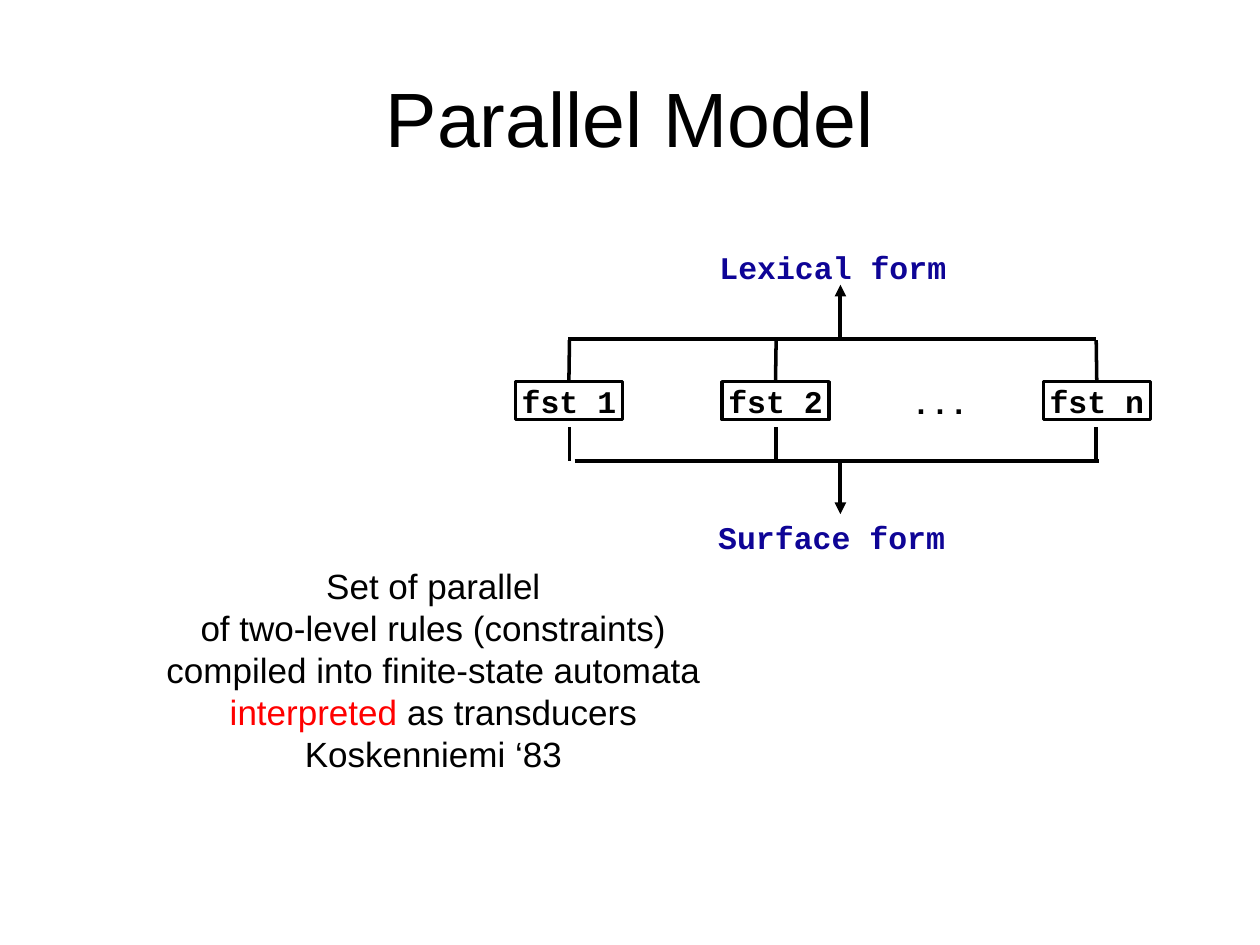
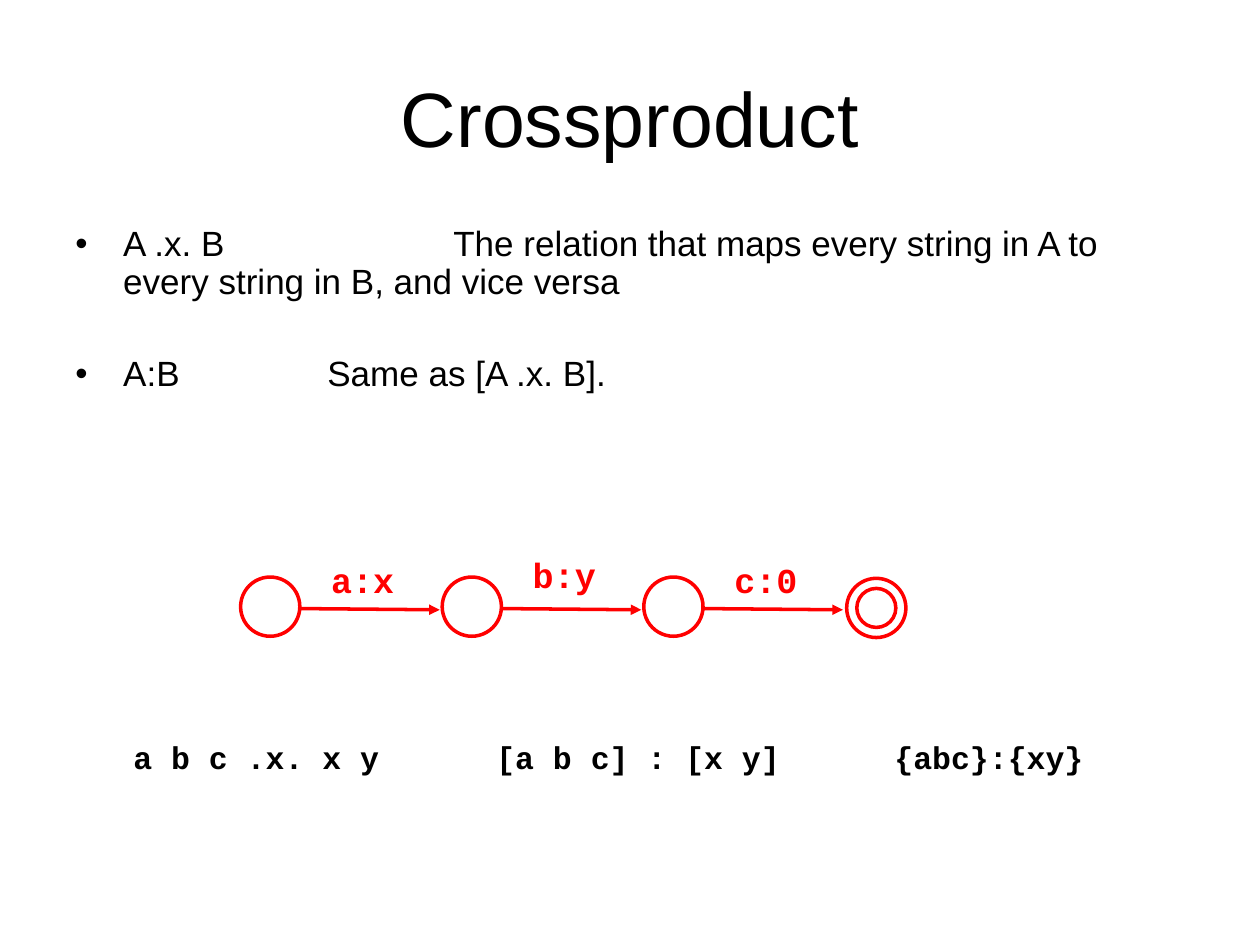
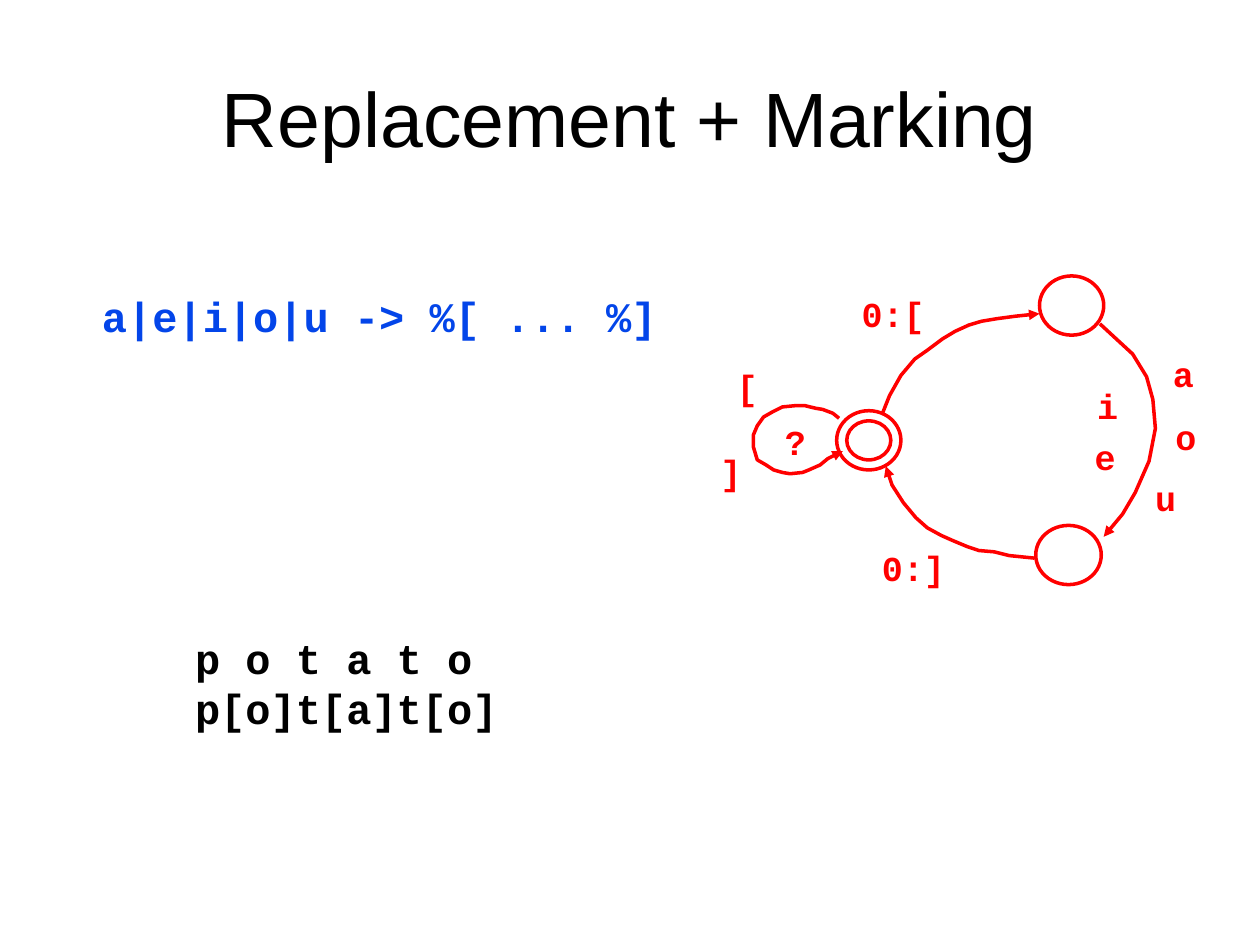
from dataclasses import dataclass

from lxml import etree
from pptx import Presentation
from pptx import util as u
from pptx.dml.color import RGBColor
from pptx.enum import shapes, text
from pptx.oxml.ns import qn

PX = 9144


@dataclass(frozen=True)
class Theme:
    ink: str = "000000"
    red: str = "FF0000"
    navy: str = "0E0496"
    blue: str = "0345E9"
    sans: str = "Arial"
    mono: str = "Courier New"
    title: int = 44
    formula: int = 24
    body: int = 20
    code: int = 18
    stroke: float = 2
    stem: float = 2.25


def apply(target, values):
    for name, value in values.items():
        setattr(target, name, value)


def px(*lengths):
    return [u.Emu(length * PX) for length in lengths]


class Deck:
    def __init__(self, theme):
        self.theme = theme
        self.prs = Presentation()
        self.prs.slide_width, self.prs.slide_height = px(1000, 750)
        self.canvas = None

    def slide(self, heading):
        layout = self.prs.slide_layouts[6]
        self.canvas = self.prs.slides.add_slide(layout).shapes
        self.text((50, 30, 900, 125), [heading], self.theme.title, wrap=True, grow=False,
                  align="CENTER", anchor="MIDDLE")

    def fill_text(self, shape, lines, size, color=None, mono=False, wrap=False, grow=True,
                  align="LEFT", anchor="TOP", inset=(10, 5)):
        t = self.theme
        across, down = px(*inset)
        frame = shape.text_frame
        apply(frame, {
            "word_wrap": wrap,
            "auto_size": text.MSO_AUTO_SIZE.SHAPE_TO_FIT_TEXT if grow else text.MSO_AUTO_SIZE.NONE,
            "vertical_anchor": text.MSO_ANCHOR[anchor],
            "margin_left": across, "margin_right": across,
            "margin_top": down, "margin_bottom": down,
        })
        for number, line in enumerate(lines):
            paragraph = frame.paragraphs[0] if number == 0 else frame.add_paragraph()
            paragraph.alignment = text.PP_ALIGN[align]
            runs = [(line, color or t.ink)] if isinstance(line, str) else line
            for words, tint in runs:
                run = paragraph.add_run()
                run.text = words
                apply(run.font, {"name": t.mono if mono else t.sans,
                                 "size": u.Pt(size), "bold": mono})
                run.font.color.rgb = RGBColor.from_string(tint)
        return frame

    def text(self, box, lines, size, **style):
        return self.fill_text(self.canvas.add_textbox(*px(*box)), lines, size, **style)

    def bullets(self, box, lines, gap):
        frame = self.text(box, lines, self.theme.body, wrap=True, grow=False)
        for number, paragraph in enumerate(frame.paragraphs):
            props = paragraph._p.get_or_add_pPr()
            for name, value in {"marL": 38 * PX, "indent": -38 * PX}.items():
                props.set(name, str(value))
            etree.SubElement(props, qn("a:buFont"), typeface=self.theme.sans)
            etree.SubElement(props, qn("a:buChar"), char="•")
            tabs = etree.SubElement(props, qn("a:tabLst"))
            for inch in range(1, 9):
                etree.SubElement(tabs, qn("a:tab"), pos=str(u.Inches(inch)), algn="l")
            paragraph.line_spacing = 0.9
            if number:
                paragraph.space_before = u.Pt(gap)

    def stroke(self, shape, color, width=None, head=False, tail=False):
        shape.line.color.rgb = RGBColor.from_string(color)
        shape.line.width = u.Pt(width or self.theme.stroke)
        ln = shape._element.spPr.get_or_add_ln()
        for end, wanted in (("a:headEnd", head), ("a:tailEnd", tail)):
            if wanted:
                etree.SubElement(ln, qn(end), type="triangle")

    def outline(self, kind, box, color):
        shape = self.canvas.add_shape(shapes.MSO_SHAPE[kind], *px(*box))
        shape.shadow.inherit = False
        shape.fill.background()
        self.stroke(shape, color)
        return shape

    def line(self, start, end, color, **style):
        link = self.canvas.add_connector(shapes.MSO_CONNECTOR.STRAIGHT, *px(*start, *end))
        self.stroke(link, color, **style)
        etree.SubElement(link._element.spPr, qn("a:effectLst"))
        return link

    def curve(self, points, color, **arrows):
        builder = self.canvas.build_freeform(*points[0], scale=float(PX))
        builder.add_line_segments(points[1:], close=False)
        arc = builder.convert_to_shape()
        arc.shadow.inherit = False
        arc.fill.background()
        self.stroke(arc, color, **arrows)

    def state(self, box, final=False):
        left, top, width, height = box
        self.outline("OVAL", box, self.theme.red)
        if final:
            self.outline("OVAL", (left + 8, top + 8, width - 16, height - 16), self.theme.red)

    def label(self, left, top, width, words):
        self.text((left, top, width, 43), [words], self.theme.body, color=self.theme.red,
                  mono=True, wrap=True)


def parallel_model(deck):
    t = deck.theme
    deck.slide("Parallel Model")
    deck.text((122, 443, 444, 210), [
        "Set of parallel",
        "of two-level rules (constraints)",
        "compiled into finite-state automata",
        [("interpreted", t.red), (" as transducers", t.ink)],
        "Koskenniemi ‘83",
    ], t.body, align="CENTER")
    for name, left, middle in (("fst 1", 409, 452), ("fst 2", 573, 616), ("fst n", 828, 870)):
        transducer = deck.outline("RECTANGLE", (left, 303, 85, 30), t.ink)
        deck.fill_text(transducer, [name], t.code, mono=True, align="CENTER", inset=(5, 0))
        upper = deck.line((middle, 303), (middle, 270), t.ink)
        upper.begin_connect(transducer, 0)
        deck.line((middle, 339), (middle, 366), t.ink)
    deck.line((451, 269), (870, 269), t.ink)
    deck.line((456, 366), (872, 366), t.ink)
    for words, box, color in (
        ("...", (710, 299, 72, 40), t.ink),
        ("Surface form", (560, 406, 200, 40), t.navy),
        ("Lexical form", (561, 192, 200, 40), t.navy),
    ):
        deck.text(box, [words], t.code, color=color, mono=True, align="CENTER")
    for bus, tip in ((367, 408), (268, 226)):
        deck.line((667, bus), (667, tip), t.ink, width=t.stem, tail=True)


def crossproduct(deck):
    t = deck.theme
    deck.slide("Crossproduct")
    deck.bullets((50, 175, 900, 268), [
        "A .x. B\t\tThe relation that maps every string in A to every string in B, and vice versa",
        "A:B\t\tSame as [A .x. B].",
    ], gap=31)
    size = 47
    lefts = [191 + 481 * step // 3 for step in range(4)]
    for left in lefts[:-1]:
        deck.state((left, 458, size, size))
        deck.line((left + size, 483), (left + 158, 484), t.red, tail=True)
    deck.state((lefts[-1], 459, size, size), final=True)
    for left, top, pair in zip(lefts, (438, 434, 438), ("a:x", "b:y", "c:0")):
        deck.label(left + 62, top, 83, pair)
    for left, width, notation in (
        (96, 215, "a b c .x. x y"),
        (384, 245, "[a b c] : [x y]"),
        (700, 170, "{abc}:{xy}"),
    ):
        deck.text((left, 581, width, 40), [notation], t.code, mono=True)


def replacement_marking(deck):
    t = deck.theme
    deck.slide("Replacement + Marking")
    for left, top, width, symbol in (
        (674, 227, 76, "0:["), (575, 285, 37, "["), (690, 429, 72, "0:]"),
        (613, 329, 38, "?"), (562, 353, 37, "]"), (921, 275, 46, "a"),
        (859, 341, 46, "e"), (861, 300, 46, "i"), (923, 325, 46, "o"),
        (907, 373, 46, "u"),
    ):
        deck.label(left, top, width, symbol)
    deck.state((664, 326, 51, 47), final=True)
    deck.state((825, 219, 51, 47))
    deck.state((822, 417, 52, 47))
    self_loop = [
        (666, 332), (661, 328), (653, 325), (647, 324), (639, 322), (631, 322), (621, 323),
        (613, 327), (606, 331), (601, 338), (598, 345), (598, 355), (601, 365), (608, 369),
        (614, 373), (621, 375), (627, 376), (637, 375), (642, 373), (651, 369), (657, 364),
        (669, 358),
    ]
    open_bracket = [
        (700, 329), (706, 314), (715, 298), (726, 285), (736, 278), (748, 269), (758, 263),
        (769, 258), (779, 255), (791, 253), (806, 251), (825, 249),
    ]
    close_bracket = [
        (703, 370), (708, 385), (717, 399), (727, 411), (736, 419), (747, 425), (756, 429),
        (768, 434), (777, 437), (789, 438), (801, 441), (821, 443),
    ]
    vowels = [
        (876, 426), (891, 408), (901, 391), (912, 366), (917, 340), (915, 317), (910, 299),
        (899, 281), (873, 257),
    ]
    for arc in (self_loop, open_bracket):
        deck.curve(arc, t.red, tail=True)
    for arc in (close_bracket, vowels):
        deck.curve(arc, t.red, head=True)
    deck.text((71, 226, 460, 50), ["a|e|i|o|u -> %[ ... %]"], t.formula, color=t.blue,
              mono=True, align="CENTER")
    deck.text((145, 497, 260, 90), ["p o t a t o", "p[o]t[a]t[o]"], t.formula, mono=True,
              anchor="MIDDLE")


def main():
    deck = Deck(Theme())
    for build in (parallel_model, crossproduct, replacement_marking):
        build(deck)
    deck.prs.save("out.pptx")


if __name__ == "__main__":
    main()
